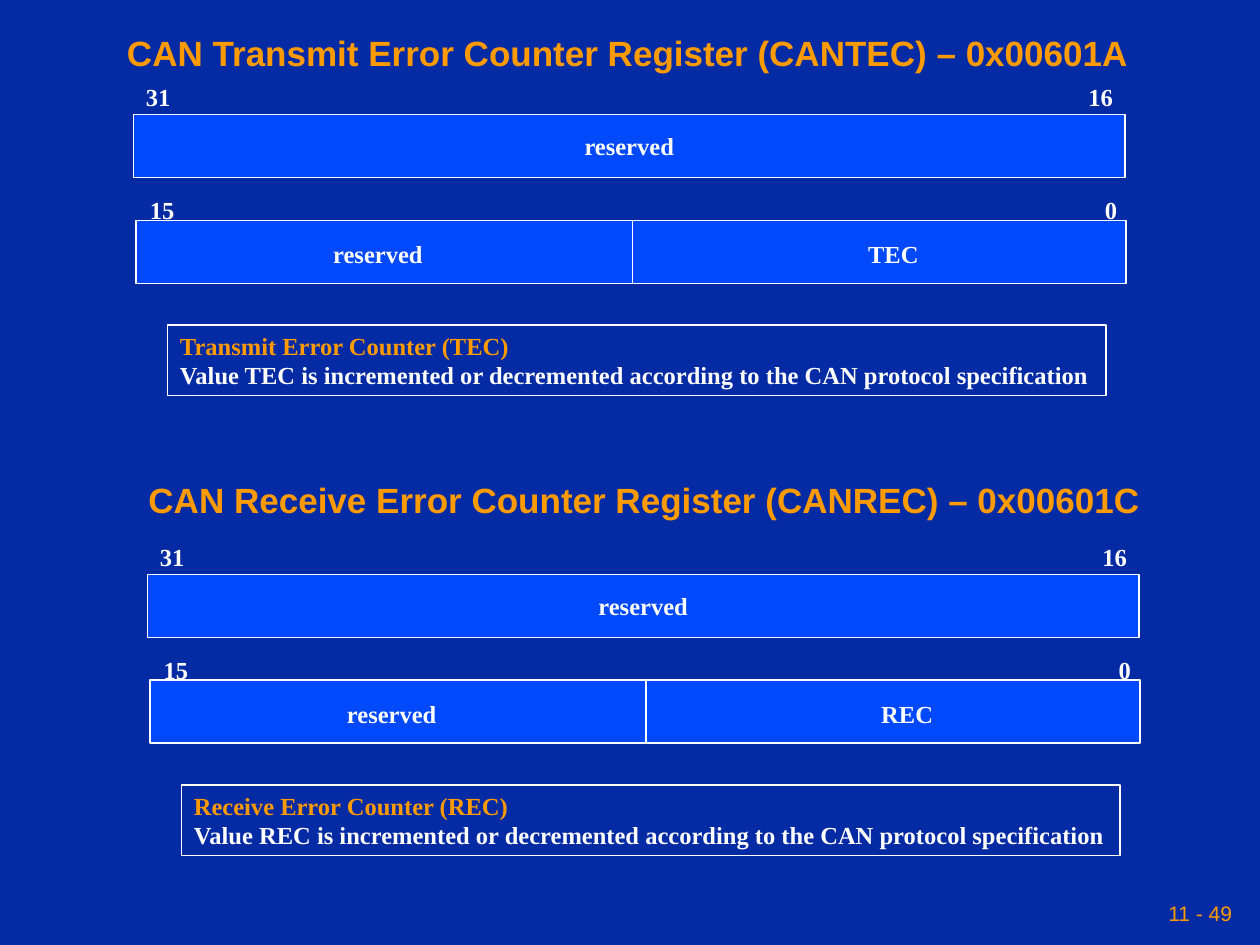
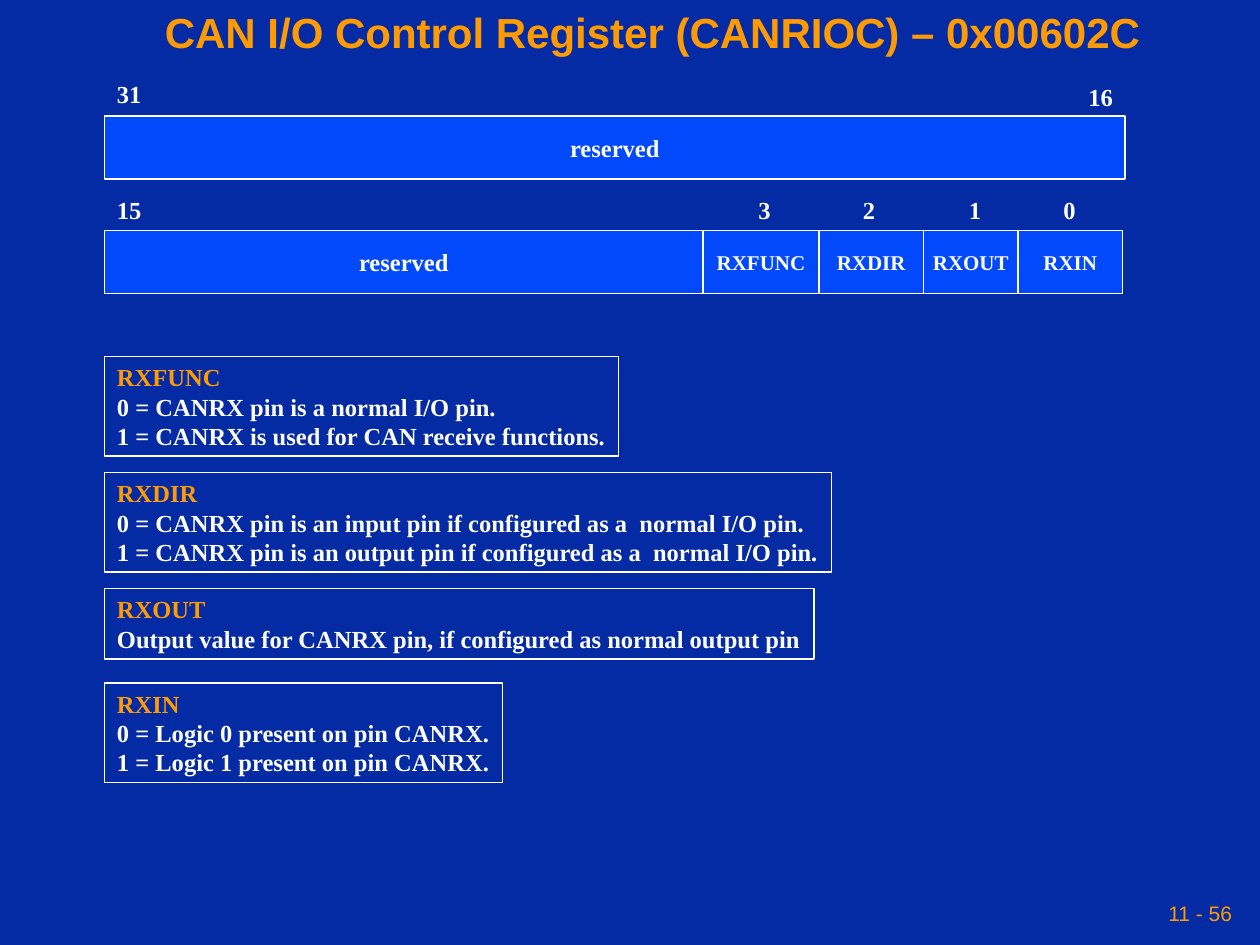
from pptx import Presentation
from pptx.dml.color import RGBColor
from pptx.enum.shapes import MSO_SHAPE
from pptx.enum.text import MSO_ANCHOR, MSO_AUTO_SIZE, PP_ALIGN
from pptx.util import Inches, Pt

COLORS = {"back": "042AA4", "cell": "0249FC", "head": "FE9B03", "text": "FFFFFF"}
SANS, SERIF = "Arial", "Times New Roman"
CELL_H = 0.5
BIT_H = 0.34
GROW = {"word_wrap": False, "auto_size": MSO_AUTO_SIZE.SHAPE_TO_FIT_TEXT}
MIDDLE = {"word_wrap": False, "vertical_anchor": MSO_ANCHOR.MIDDLE}
TIGHT = {f"margin_{side}": Inches(0.05) for side in ("left", "right", "top", "bottom")}


def color(name):
    return RGBColor.from_string(COLORS[name])


def apply(item, values):
    for key, value in values.items():
        setattr(item, key, value)


def write(shape, lines, frame, align=PP_ALIGN.LEFT, size=14, face=SERIF, bold=True):
    """Fill a shape with (text, colour name) lines."""
    body = shape.text_frame
    apply(body, frame)
    for i, (words, tone) in enumerate(lines):
        par = body.add_paragraph() if i else body.paragraphs[0]
        par.alignment = align
        run = par.add_run()
        run.text = words
        apply(run.font, {"size": Pt(size), "name": face, "bold": bold})
        run.font.color.rgb = color(tone)


def label(shapes, box, words, tone="text", frame=GROW, **style):
    shape = shapes.add_textbox(*map(Inches, box))
    write(shape, [(words, tone)], frame, **style)


def panel(shapes, box, fill=None):
    """Add a white-edged rectangle, hollow unless a fill is named."""
    shape = shapes.add_shape(MSO_SHAPE.RECTANGLE, *map(Inches, box))
    shape.shadow.inherit = False
    if fill:
        shape.fill.solid()
        shape.fill.fore_color.rgb = color(fill)
    else:
        shape.fill.background()
    shape.line.color.rgb = color("text")
    shape.line.width = Pt(1)
    return shape


def cell(shapes, box, words, size=14):
    write(panel(shapes, box, "cell"), [(words, "text")], MIDDLE, PP_ALIGN.CENTER, size)


def bit(shapes, x, y, number):
    width = 0.45 if number > 9 else 0.35
    label(shapes, (x, y, width, BIT_H), str(number))


def note(shapes, box, head, *lines):
    rows = [(head, "head")] + [(line, "text") for line in lines]
    write(panel(shapes, box), rows, GROW)


def title(slide, box, words, size):
    label(slide.shapes, box, words, "head", size=size, face=SANS)


def page(deck, number):
    """Add a blank slide with its page number."""
    slide = deck.slides.add_slide(deck.slide_layouts[6])
    label(slide.shapes, (6.83, 7.08, 3, 0.33), f"11 - {number}", "head",
          MIDDLE | TIGHT, align=PP_ALIGN.RIGHT, size=12, face=SANS, bold=False)
    return slide


def counter(slide, x, y, kind, short):
    """Draw a 32-bit error counter register and its note."""
    shapes = slide.shapes.add_group_shape().shapes
    for dx, dy, number in ((0, 0, 31), (7.48, 0, 16), (0.03, 0.9, 15), (7.61, 0.9, 0)):
        bit(shapes, x + dx, y + dy, number)
    cell(shapes, (x, y + 0.31, 7.87, CELL_H), "reserved")
    for dx in (3.94, 0.02):
        panel(shapes, (x + dx, y + 1.15, 3.94, CELL_H), "cell")
    for dx, words in ((1.44, "reserved"), (5.53, short)):
        label(shapes, (x + dx, y + 1.25, 1, BIT_H), words, align=PP_ALIGN.CENTER)
    note(shapes, (x + 0.27, y + 1.98, 7.45, 0.56), f"{kind} Error Counter ({short})",
         f"Value {short} is incremented or decremented according to "
         "the CAN protocol specification")


def control(slide, x, y):
    """Draw the control register with its four single-bit fields."""
    shapes = slide.shapes.add_group_shape().shapes
    for dx, dy, number in ((0, 0, 31), (7.71, 0.02, 16), (0, 0.92, 15), (5.09, 0.92, 3),
                           (5.92, 0.92, 2), (6.76, 0.92, 1), (7.51, 0.92, 0)):
        bit(shapes, x + dx, y + dy, number)
    cell(shapes, (x, y + 0.34, 8.1, CELL_H), "reserved")
    left = x
    for words, width, size in (("reserved", 4.75, 14), ("RXFUNC", 0.92, 12),
                               ("RXDIR", 0.83, 12), ("RXOUT", 0.75, 12),
                               ("RXIN", 0.83, 12)):
        cell(shapes, (left, y + 1.25, width, CELL_H), words, size)
        left += width


def errors(deck):
    slide = page(deck, 49)
    title(slide, (0.91, 0.2, 8.16, 0.43),
          "CAN Transmit Error Counter Register (CANTEC) – 0x00601A", 20)
    title(slide, (1.08, 3.75, 8.07, 0.43),
          "CAN Receive Error Counter Register (CANREC) – 0x00601C", 20)
    counter(slide, 1.06, 0.6, "Transmit", "TEC")
    counter(slide, 1.17, 4.25, "Receive", "REC")


def pins(deck):
    slide = page(deck, 56)
    title(slide, (1.21, 0, 7.94, 0.5), "CAN I/O Control Register (CANRIOC) – 0x00602C", 24)
    control(slide, 0.83, 0.58)
    notes = (
        (2.83, 4.08, "RXFUNC", "0 = CANRX pin is a normal I/O pin.",
         "1 = CANRX is used for CAN receive functions."),
        (3.75, 5.77, "RXDIR",
         "0 = CANRX pin is an input pin if configured as a  normal I/O pin.",
         "1 = CANRX pin is an output pin if configured as a  normal I/O pin."),
        (4.67, 5.63, "RXOUT",
         "Output value for CANRX pin, if configured as normal output pin"),
        (5.42, 3.16, "RXIN", "0 = Logic 0 present on pin CANRX.",
         "1 = Logic 1 present on pin CANRX."),
    )
    for top, width, *lines in notes:
        height = 0.1 + 0.23 * len(lines)
        note(slide.shapes, (0.83, top, width, height), *lines)


def main():
    deck = Presentation()
    apply(deck, {"slide_width": Inches(10), "slide_height": Inches(7.5)})
    back = deck.slide_master.background.fill
    back.solid()
    back.fore_color.rgb = color("back")
    errors(deck)
    pins(deck)
    deck.save("out.pptx")


if __name__ == "__main__":
    main()
